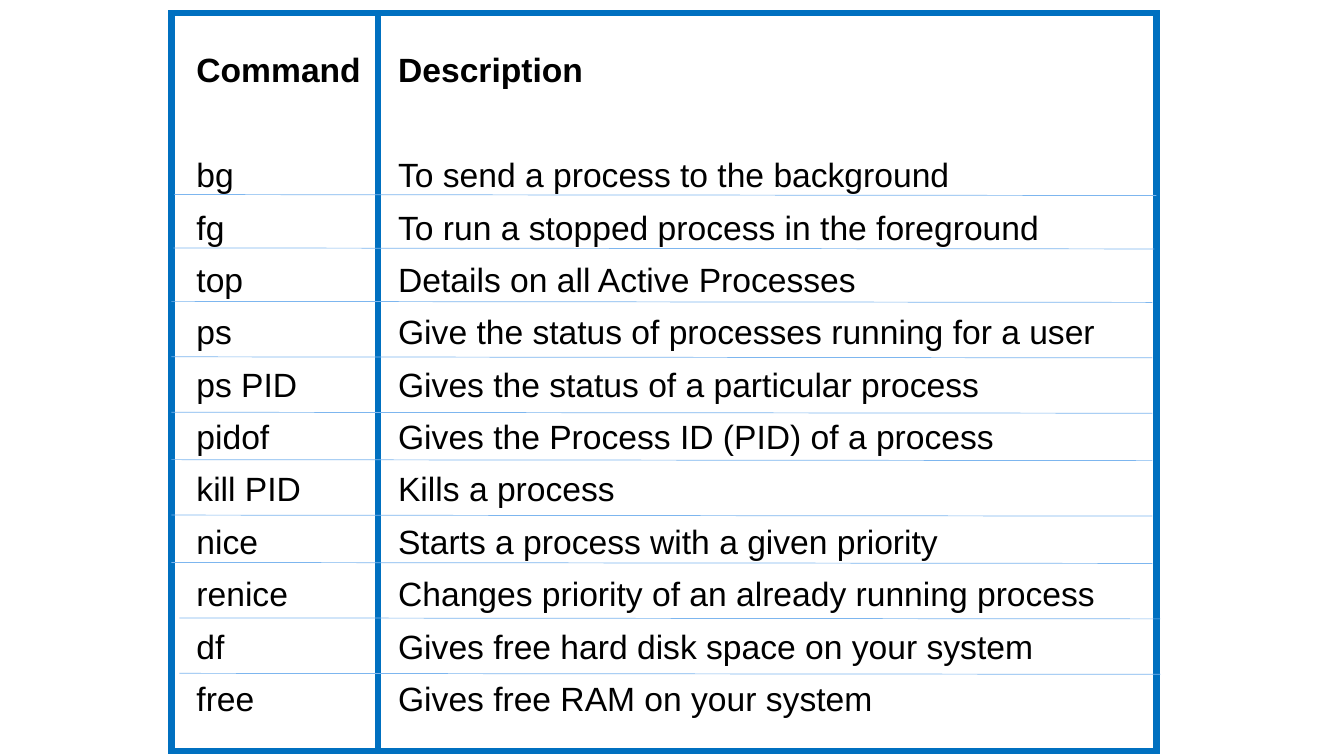
"""Build a slide listing process commands and their descriptions."""
from typing import NamedTuple

from lxml.etree import SubElement
from pptx import Presentation
from pptx.dml.color import RGBColor as RGB
from pptx.enum.shapes import MSO_CONNECTOR as CONN, MSO_SHAPE as SHAPE
from pptx.enum.text import MSO_AUTO_SIZE as AUTO
from pptx.oxml.ns import qn
from pptx.util import Inches, Pt

COLORS = {"text": "000000", "frame": "0070C0", "rule": "7DB6EF"}


class Command(NamedTuple):
    name: str
    description: str


class Frame(NamedTuple):
    left: float
    width: float


class Rule(NamedTuple):
    left: float
    top: float
    width: float = 9.73


HEADER = Command("Command", "Description")
COMMANDS = [
    Command("bg", "To send a process to the background"),
    Command("fg", "To run a stopped process in the foreground"),
    Command("top", "Details on all Active Processes"),
    Command("ps", "Give the status of processes running for a user"),
    Command("ps PID", "Gives the status of a particular process"),
    Command("pidof", "Gives the Process ID (PID) of a process"),
    Command("kill PID", "Kills a process"),
    Command("nice", "Starts a process with a given priority"),
    Command("renice", "Changes priority of an already running process"),
    Command("df", "Gives free hard disk space on your system"),
    Command("free", "Gives free RAM on your system"),
]
FRAMES = [Frame(3.75, 7.72), Frame(1.7, 2.05)]
RULES = [
    Rule(1.73, 1.93, 9.74), Rule(1.72, 2.46),
    *(Rule(1.7, top) for top in (2.99, 3.54, 4.09, 4.56, 5.11, 5.58)),
    Rule(1.78, 6.13), Rule(1.78, 6.68),
]


def add_commands(s) -> None:
    sp = s.shapes.add_textbox(Inches(1.85), Inches(0.44), Inches(9.72), Inches(6.8))
    tf = sp.text_frame
    tf.word_wrap = True
    tf.auto_size = AUTO.SHAPE_TO_FIT_TEXT
    for i, command in enumerate([HEADER, *COMMANDS]):
        p = tf.paragraphs[0] if i == 0 else tf.add_paragraph()
        p.text = f"{command.name}\t{command.description}"
        tabs = SubElement(p._p.get_or_add_pPr(), qn("a:tabLst"))
        SubElement(tabs, qn("a:tab"), pos=str(Inches(2)), algn="l")
        if i > 0:
            p.line_spacing = 1.3
        if i == 1:
            p.space_before = Pt(37.4)
        font = p.runs[0].font
        font.name = "Arial"
        font.size = Pt(24)
        font.bold = i == 0
        font.color.rgb = RGB.from_string(COLORS["text"])


def add_frame(s, frame: Frame) -> None:
    sp = s.shapes.add_shape(SHAPE.RECTANGLE, Inches(frame.left), Inches(0.13),
                            Inches(frame.width), Inches(7.32))
    sp.shadow.inherit = False
    sp.fill.background()
    sp.line.color.rgb = RGB.from_string(COLORS["frame"])
    sp.line.width = Pt(4.5)
    SubElement(sp.line._get_or_add_ln(), qn("a:miter"), lim="800000")


def add_rule(s, rule: Rule) -> None:
    line = s.shapes.add_connector(CONN.STRAIGHT, Inches(rule.left), Inches(rule.top),
                                  Inches(rule.left + rule.width), Inches(rule.top + 0.01))
    line.line.color.rgb = RGB.from_string(COLORS["rule"])
    line.line.width = Pt(0.5)
    SubElement(line._element.spPr, qn("a:effectLst"))


def main() -> None:
    prs = Presentation()
    prs.slide_width, prs.slide_height = Inches(13.33), Inches(7.5)
    s = prs.slides.add_slide(prs.slide_layouts[6])
    add_commands(s)
    for frame in FRAMES:
        add_frame(s, frame)
    for rule in RULES:
        add_rule(s, rule)
    prs.save("out.pptx")


if __name__ == "__main__":
    main()
